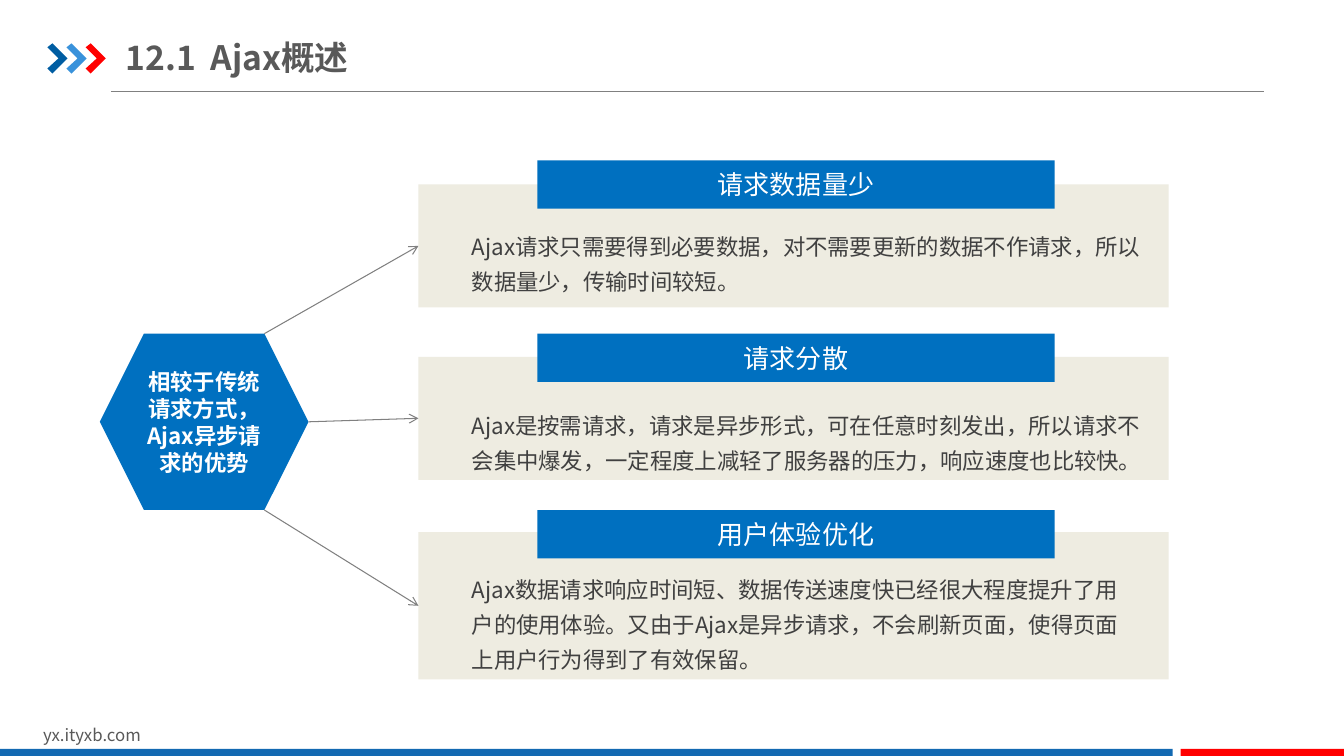
from lxml import etree
from pptx import Presentation
from pptx.dml.color import RGBColor
from pptx.enum.shapes import MSO_CONNECTOR as Connector, MSO_SHAPE as Shape
from pptx.enum.text import MSO_ANCHOR as Anchor, MSO_AUTO_SIZE as AutoSize, PP_ALIGN as Align
from pptx.oxml.ns import qn
from pptx.util import Inches, Pt

FONT = "Noto Sans CJK SC"
COLORS = {
    "navy": "005DA2", "sky": "3992DB", "red": "FF0000", "footer": "1369B2",
    "blue": "0070C0", "beige": "EEECE1", "white": "FFFFFF",
    "rule": "808080", "heading": "595959", "body": "404040",
}
TITLE = "12.1\tAjax概述"
TITLE_TAB = 0.84
SITE = "yx.ityxb.com"
TOPIC = "相较于传统请求方式，Ajax异步请求的优势"

# Label, text, label top, panel top, panel height, text box (top, width, height)
ADVANTAGES = [
    ("请求数据量少",
     "Ajax请求只需要得到必要数据，对不需要更新的数据不作请求，所以数据量少，传输时间较短。",
     1.59, 1.83, 1.22, (2.18, 7.01, 0.8)),
    ("请求分散",
     "Ajax是按需请求，请求是异步形式，可在任意时刻发出，所以请求不会集中爆发，一定程度上减轻了服务器的压力，响应速度也比较快。",
     3.31, 3.54, 1.22, (3.96, 7.01, 0.8)),
    ("用户体验优化",
     "Ajax数据请求响应时间短、数据传送速度快已经很大程度提升了用户的使用体验。又由于Ajax是异步请求，不会刷新页面，使得页面上用户行为得到了有效保留。",
     5.06, 5.28, 1.46, (5.59, 6.62, 1.15)),
]
PANEL_LEFT, PANEL_WIDTH = 4.15, 7.44
LABEL_LEFT, LABEL_WIDTH, LABEL_HEIGHT = 5.33, 5.13, 0.48
TEXT_LEFT = 4.58
HEX_LEFT, HEX_TOP, HEX_WIDTH, HEX_HEIGHT = 0.99, 3.31, 2.07, 1.75
HEX_INSET = HEX_HEIGHT / 4

CHEVRON_COLORS = ["navy", "sky", "red"]
CHEVRON_LEFT, CHEVRON_TOP, CHEVRON_STEP = 0.47, 0.43, 0.19
CHEVRON_POINTS = [(0, 0.04), (0.05, 0), (0.2, 0.15), (0.05, 0.3), (0, 0.25), (0.11, 0.15)]


def rgb(name):
    return RGBColor.from_string(COLORS[name])


def write(shape, text, size, color, bold=False, align=Align.LEFT, anchor=Anchor.TOP,
          margins=(0.1, 0.05), spacing=None, grow=False, tab=None):
    frame = shape.text_frame
    frame.word_wrap = True
    frame.auto_size = AutoSize.SHAPE_TO_FIT_TEXT if grow else AutoSize.NONE
    frame.vertical_anchor = anchor
    frame.margin_left = frame.margin_right = Inches(margins[0])
    frame.margin_top = frame.margin_bottom = Inches(margins[1])
    para = frame.paragraphs[0]
    para.alignment = align
    if spacing:
        para.line_spacing = spacing
    if tab:
        tabs = etree.SubElement(para._p.get_or_add_pPr(), qn("a:tabLst"))
        etree.SubElement(tabs, qn("a:tab"), pos=str(Inches(tab)), algn="l")
    span = para.add_run()
    span.text = text
    font = span.font
    font.size, font.bold, font.name = Pt(size), bold, FONT
    font.color.rgb = rgb(color)
    etree.SubElement(span._r.get_or_add_rPr(), qn("a:ea"), typeface=FONT)


def paint(shape, color):
    shape.shadow.inherit = False
    shape.fill.solid()
    shape.fill.fore_color.rgb = rgb(color)
    shape.line.fill.background()
    return shape


def add_block(page, kind, bounds, color):
    return paint(page.shapes.add_shape(kind, *map(Inches, bounds)), color)


def add_box(page, bounds):
    return page.shapes.add_textbox(*map(Inches, bounds))


def add_line(page, start, end, arrow=False):
    line = page.shapes.add_connector(Connector.STRAIGHT, *map(Inches, start + end))
    line.line.color.rgb = rgb("rule")
    line.line.width = Pt(0.75)
    if arrow:
        etree.SubElement(line.line._get_or_add_ln(), qn("a:tailEnd"), type="arrow")
    etree.SubElement(line._element.spPr, qn("a:effectLst"))


def add_chevron(page, left, color):
    points = [(Inches(left + x), Inches(CHEVRON_TOP + y)) for x, y in CHEVRON_POINTS]
    outline = page.shapes.build_freeform(*points[0])
    outline.add_line_segments(points[1:], close=True)
    paint(outline.convert_to_shape(), color)


def add_frame(page):
    """Draw the heading and the footer."""
    add_line(page, (1.1, 0.91), (12.54, 0.91))
    for index, color in enumerate(CHEVRON_COLORS):
        add_chevron(page, CHEVRON_LEFT + index * CHEVRON_STEP, color)
    write(add_box(page, (0.33, 7.14, 3.18, 0.3)), SITE, 12, "heading", grow=True)
    add_block(page, Shape.RECTANGLE, (0, 7.43, 11.63, 0.07), "footer")
    add_block(page, Shape.RECTANGLE, (11.71, 7.43, 1.62, 0.07), "red")
    write(add_box(page, (1.25, 0.29, 4.26, 0.55)), TITLE, 24, "heading", bold=True,
          anchor=Anchor.MIDDLE, margins=(0, 0.07), tab=TITLE_TAB)


def add_advantages(page):
    hexagon = add_block(page, Shape.HEXAGON, (HEX_LEFT, HEX_TOP, HEX_WIDTH, HEX_HEIGHT), "blue")
    write(hexagon, TOPIC, 16, "white", bold=True, align=Align.CENTER, anchor=Anchor.MIDDLE)
    right = HEX_LEFT + HEX_WIDTH
    corners = [
        (right - HEX_INSET, HEX_TOP),
        (right, HEX_TOP + HEX_HEIGHT / 2),
        (right - HEX_INSET, HEX_TOP + HEX_HEIGHT),
    ]
    for corner, advantage in zip(corners, ADVANTAGES):
        label, text, label_top, panel_top, panel_height, text_bounds = advantage
        add_block(page, Shape.RECTANGLE,
                  (PANEL_LEFT, panel_top, PANEL_WIDTH, panel_height), "beige")
        heading = add_block(page, Shape.RECTANGLE,
                            (LABEL_LEFT, label_top, LABEL_WIDTH, LABEL_HEIGHT), "blue")
        write(heading, label, 18.6, "white", align=Align.CENTER, anchor=Anchor.MIDDLE)
        text_top, text_width, text_height = text_bounds
        write(add_box(page, (TEXT_LEFT, text_top, text_width, text_height)),
              text, 16, "body", spacing=1.3, grow=True)
        add_line(page, corner, (PANEL_LEFT, panel_top + panel_height / 2), arrow=True)


def main():
    deck = Presentation()
    deck.slide_width, deck.slide_height = Inches(13.33), Inches(7.5)
    page = deck.slides.add_slide(deck.slide_layouts[6])
    add_frame(page)
    add_advantages(page)
    deck.save("out.pptx")


if __name__ == "__main__":
    main()
